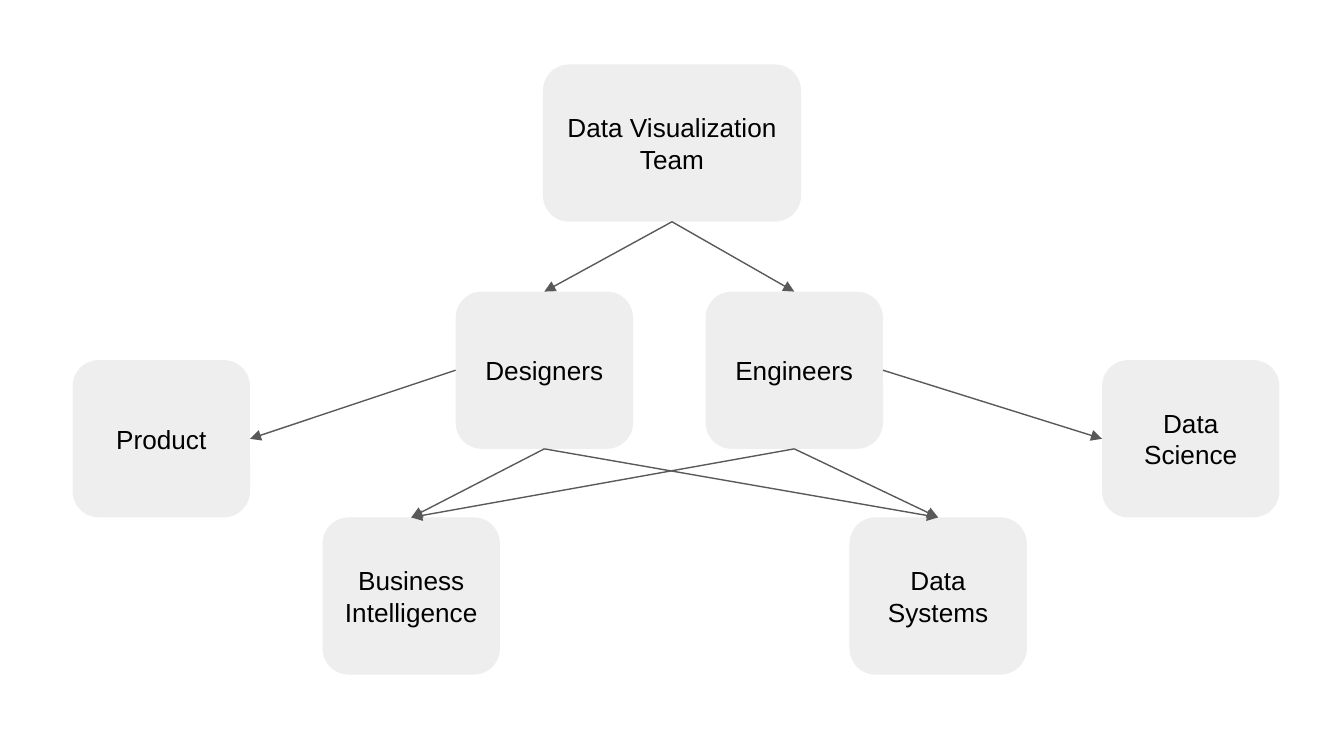
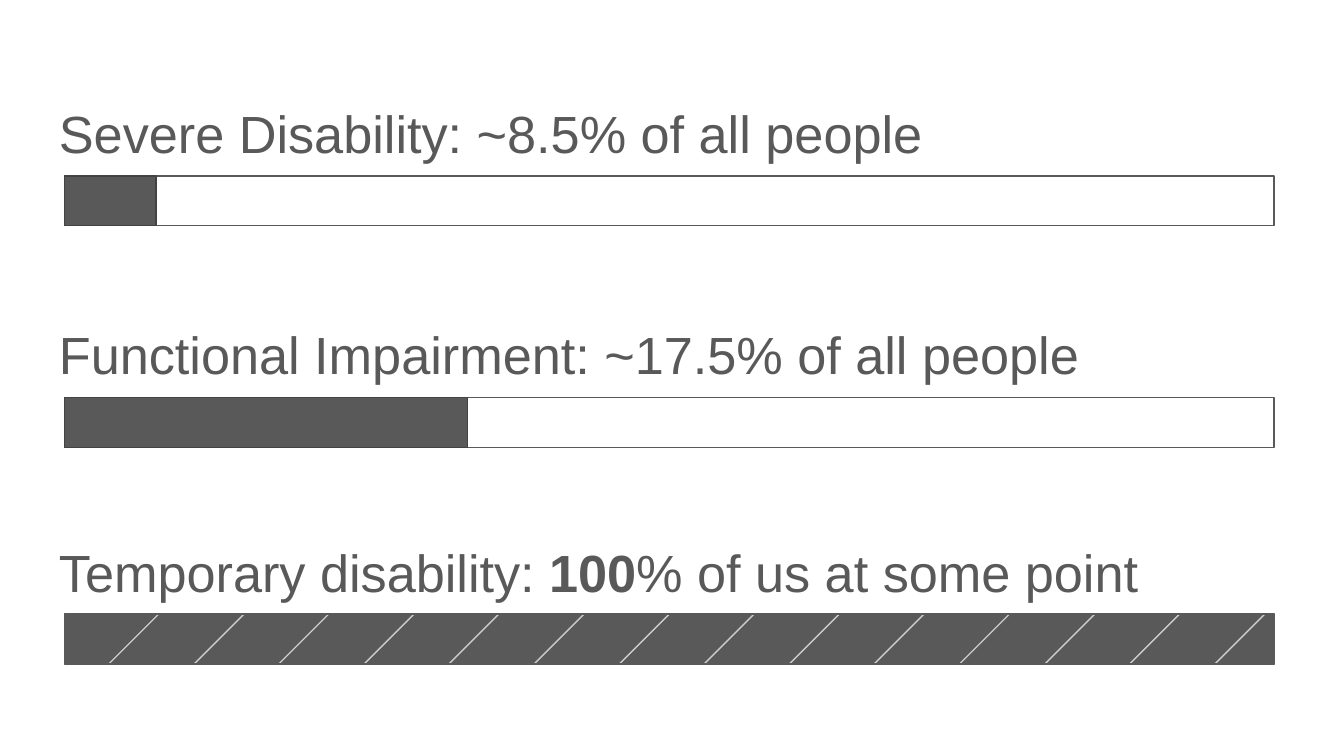
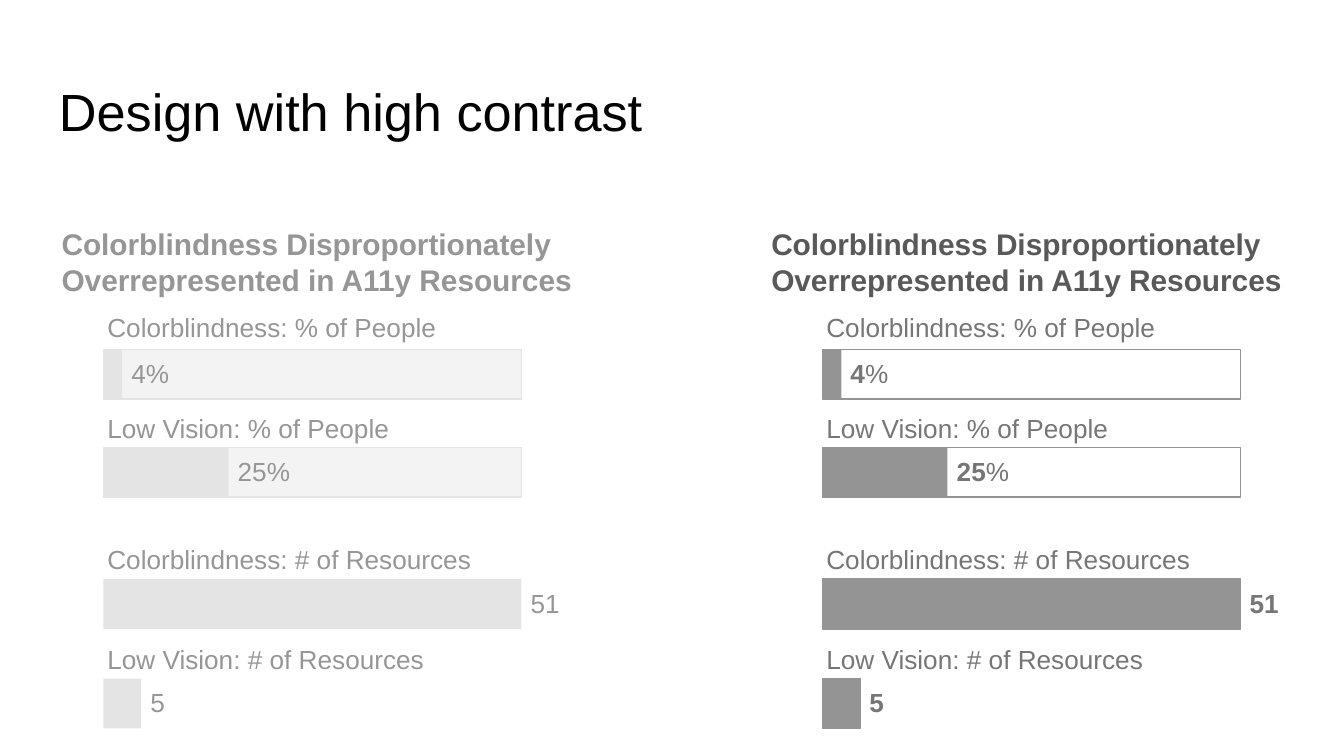
from dataclasses import dataclass

import pptx
import pptx.dml.color
import pptx.enum.shapes
import pptx.enum.text
import pptx.oxml.ns
import pptx.util
from lxml import etree

PX = 914400 // 200
TOP, LEFT, BOTTOM, RIGHT = range(4)
SHAPES = pptx.enum.shapes.MSO_SHAPE


@dataclass(frozen=True)
class Theme:
    font: str = "Arial"
    title_size: int = 28
    heading_size: int = 16
    body_size: int = 14
    line_width: float = 0.75
    black: str = "000000"
    white: str = "FFFFFF"
    node: str = "EEEEEE"
    dark: str = "595959"
    dark_edge: str = "434343"
    stripe: str = "CCCCCC"


THEME = Theme()


@dataclass(frozen=True)
class PanelStyle:
    heading: str
    text: str
    track: str
    track_line: str
    fill: str
    count_line: str | None
    bold_numbers: bool


LOW_CONTRAST = PanelStyle("969696", "969696", "F3F3F3", "E4E4E4", "E4E4E4", None, False)
HIGH_CONTRAST = PanelStyle("595959", "767676", "FFFFFF", "949494", "949494", "949494", True)

# name: (text, left, top, width)
TEAM_NODES = {
    "team": ("Data Visualization Team", 808, 96, 384),
    "product": ("Product", 108, 536, 264),
    "intelligence": ("Business Intelligence", 480, 770, 264),
    "systems": ("Data Systems", 1264, 770, 264),
    "science": ("Data Science", 1640, 536, 264),
    "designers": ("Designers", 678, 434, 264),
    "engineers": ("Engineers", 1050, 434, 264),
}
TEAM_LINKS = [
    ("team", BOTTOM, "designers", TOP),
    ("team", BOTTOM, "engineers", TOP),
    ("designers", LEFT, "product", RIGHT),
    ("designers", BOTTOM, "intelligence", TOP),
    ("engineers", RIGHT, "science", LEFT),
    ("engineers", BOTTOM, "systems", TOP),
    ("designers", BOTTOM, "systems", TOP),
    ("engineers", BOTTOM, "intelligence", TOP),
]

# label, label top, label width, bar top, bar width, number, unit, value width
PANEL_ROWS = [
    ("Colorblindness: % of People", 444, 622, 520, 28, "4", "%", 460),
    ("Low Vision: % of People", 594, 460, 666, 186, "25", "%", 316),
    ("Colorblindness: # of Resources", 788, 622, 862, 622, "51", "", 116),
    ("Low Vision: # of Resources", 938, 532, 1010, 56, "5", "", 316),
]


def px(*lengths):
    return [pptx.util.Emu(length * PX) for length in lengths]


def rgb(color):
    return pptx.dml.color.RGBColor.from_string(color)


def new_page(deck):
    return deck.slides.add_slide(deck.slide_layouts[6])


def format_run(span, size, color, bold=False):
    span.font.name = THEME.font
    span.font.size = pptx.util.Pt(size)
    span.font.color.rgb = rgb(color)
    span.font.bold = bold


def set_margins(frame):
    frame.word_wrap = True
    inset, = px(20)
    frame.margin_left = frame.margin_top = inset
    frame.margin_right = frame.margin_bottom = inset


def add_text(page, frame_px, spans, size, color, grow=True):
    """Add a text box; spans is a list of (text, bold)."""
    box = page.shapes.add_textbox(*px(*frame_px))
    frame = box.text_frame
    set_margins(frame)
    if grow:
        frame.auto_size = pptx.enum.text.MSO_AUTO_SIZE.SHAPE_TO_FIT_TEXT
    for text, bold in spans:
        span = frame.paragraphs[0].add_run()
        span.text = text
        format_run(span, size, color, bold)


def add_title(page, top, spans, color):
    add_text(page, (68, top, 1864, 126), spans, THEME.title_size, color, grow=False)


def add_block(page, frame_px, fill=None, line=None, kind=SHAPES.RECTANGLE):
    block = page.shapes.add_shape(kind, *px(*frame_px))
    block.shadow.inherit = False
    if fill:
        block.fill.solid()
        block.fill.fore_color.rgb = rgb(fill)
    else:
        block.fill.background()
    if line:
        block.line.color.rgb = rgb(line)
        block.line.width = pptx.util.Pt(THEME.line_width)
    else:
        block.line.fill.background()
    return block


def add_node(page, text, left, top, width):
    node = add_block(page, (left, top, width, 234), THEME.node,
                     kind=SHAPES.ROUNDED_RECTANGLE)
    frame = node.text_frame
    set_margins(frame)
    frame.vertical_anchor = pptx.enum.text.MSO_ANCHOR.MIDDLE
    frame.text = text
    para = frame.paragraphs[0]
    para.alignment = pptx.enum.text.PP_ALIGN.CENTER
    format_run(para.runs[0], THEME.body_size, THEME.black)
    return node


def add_line(page, ends_px, color):
    line = page.shapes.add_connector(
        pptx.enum.shapes.MSO_CONNECTOR.STRAIGHT, *px(*ends_px))
    line.line.color.rgb = rgb(color)
    line.line.width = pptx.util.Pt(THEME.line_width)
    etree.SubElement(line._element.spPr, pptx.oxml.ns.qn("a:effectLst"))
    return line


def add_arrow(page, source, source_side, target, target_side):
    arrow = add_line(page, (0, 0, 0, 0), THEME.dark)
    arrow.begin_connect(source, source_side)
    arrow.end_connect(target, target_side)
    head = etree.SubElement(arrow.line._get_or_add_ln(), pptx.oxml.ns.qn("a:tailEnd"))
    head.set("type", "triangle")


def add_share_bar(page, top, spans, filled):
    """Add a title with a full-width bar below it, filled from the left."""
    add_title(page, top - 132, spans, THEME.dark)
    add_block(page, (96, top, 1800, 74), THEME.white, THEME.dark)
    add_block(page, (96, top, filled, 74), THEME.dark, THEME.dark_edge)


def add_striped_bar(page, top, spans):
    add_title(page, top - 130, spans, THEME.dark)
    add_block(page, (96, top, 1800, 74), THEME.dark, THEME.dark_edge)
    for index in range(14):
        left = 144 + round(index * 126.6)
        add_line(page, (left, top + 92, left + 100, top - 8), THEME.stripe)
    # White strips trim the stripe ends above and below the bar.
    add_block(page, (96, top + 74, 1800, 32), THEME.white)
    add_block(page, (96, top - 16, 1800, 16), THEME.white)
    add_block(page, (96, top, 1800, 74), line=THEME.dark)


def add_panel(page, heading_left, bar_left, style):
    heading = "Colorblindness Disproportionately Overrepresented in A11y Resources"
    add_text(page, (heading_left, 316, 810, 148), [(heading, True)],
             THEME.heading_size, style.heading)
    for label, label_top, label_width, top, width, number, unit, value_width in PANEL_ROWS:
        if unit:
            add_block(page, (bar_left, top, 622, 74), style.track, style.track_line)
        add_block(page, (bar_left, top, width, 74), style.fill,
                  None if unit else style.count_line)
        add_text(page, (bar_left - 14, label_top, label_width, 88), [(label, False)],
                 THEME.body_size, style.text)
        spans = [(number, style.bold_numbers)]
        if unit:
            spans.append((unit, False))
        add_text(page, (bar_left + width - 6, top - 8, value_width, 88), spans,
                 THEME.body_size, style.text)


def build_team_page(deck):
    page = new_page(deck)
    nodes = {name: add_node(page, *spec_px) for name, spec_px in TEAM_NODES.items()}
    for source, source_side, target, target_side in TEAM_LINKS:
        add_arrow(page, nodes[source], source_side, nodes[target], target_side)


def build_disability_page(deck):
    page = new_page(deck)
    add_share_bar(page, 262, [("Severe Disability: ~8.5% of all people", False)], 136)
    add_share_bar(page, 592, [("Functional Impairment: ~17.5% of all people", False)], 600)
    add_striped_bar(page, 914, [("Temporary disability: ", False), ("100", True),
                                ("% of us at some point", False)])


def build_contrast_page(deck):
    page = new_page(deck)
    add_title(page, 98, [("Design with high contrast", False)], THEME.black)
    add_panel(page, 72, 154, LOW_CONTRAST)
    add_panel(page, 1128, 1224, HIGH_CONTRAST)


def main():
    deck = pptx.Presentation()
    deck.slide_width, deck.slide_height = px(2000, 1125)
    build_team_page(deck)
    build_disability_page(deck)
    build_contrast_page(deck)
    deck.save("out.pptx")


if __name__ == "__main__":
    main()
